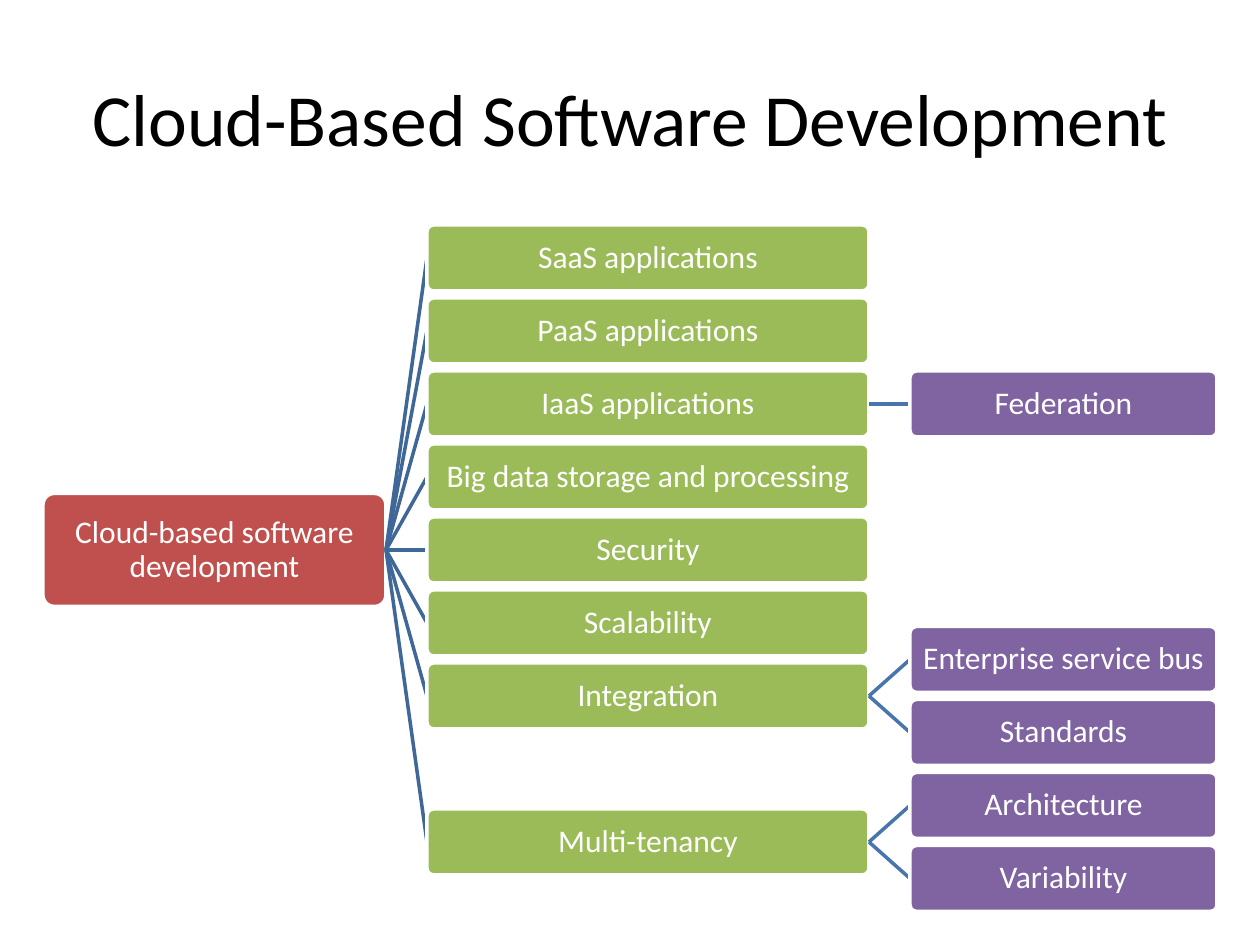
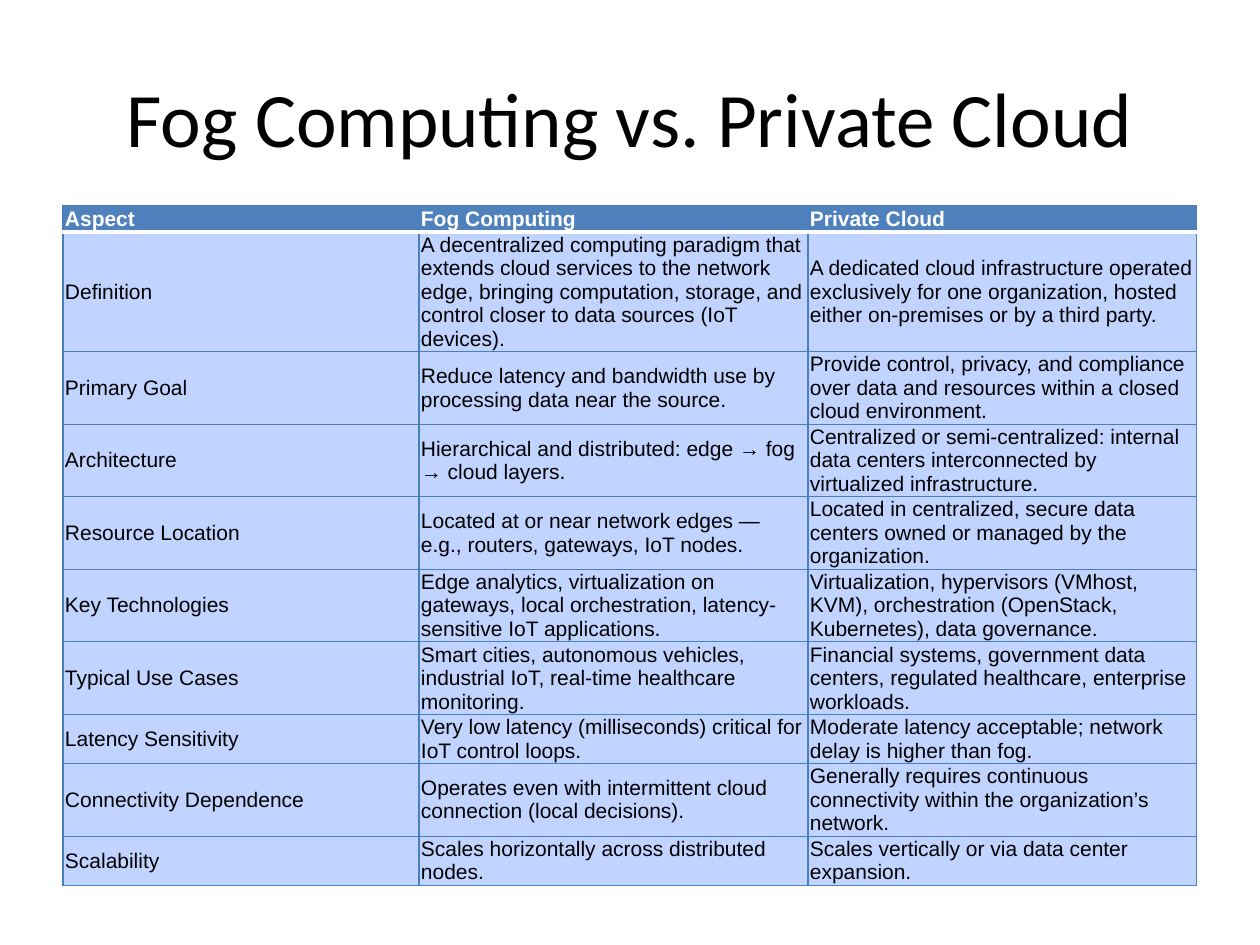
from dataclasses import dataclass

from lxml.etree import SubElement
from pptx import Presentation
from pptx.dml.color import RGBColor
from pptx.enum.shapes import MSO_CONNECTOR as Connector, MSO_SHAPE as Shape
from pptx.enum.text import MSO_ANCHOR as Anchor, MSO_AUTO_SIZE as AutoSize, PP_ALIGN as Align
from pptx.oxml.ns import qn
from pptx.util import Emu, Pt


# Theme shared by both slides
@dataclass(frozen=True)
class Theme:
    heading_font: str = "Calibri"
    table_font: str = "Arial"
    black: str = "000000"
    white: str = "FFFFFF"
    root: str = "C0504D"
    branch: str = "9BBB59"
    leaf: str = "8064A2"
    root_line: str = "3F6797"
    branch_line: str = "4875AC"
    header_fill: str = "4F81BD"
    body_fill: str = "C0D4FF"
    grid: str = "4B7EBC"
    node_size: int = 18
    table_size: int = 12
    line_width: int = 2
    grid_width: float = 0.75


THEME = Theme()
PX_PER_INCH = 126
TITLE_ONLY = 5
TOP, LEFT, BOTTOM, RIGHT = range(4)

# Mind map: left and width of each level, and the vertical rhythm
ROOT_COLUMN, BRANCH_COLUMN, LEAF_COLUMN = (43, 343), (427, 442), (910, 307)
ROOT_HEIGHT, NODE_HEIGHT, PITCH = 113, 66, 73
MAP_CENTER = 550

# Branch name, rows below the root, leaves centred on the branch
BRANCHES = [
    ("SaaS applications", -4, []),
    ("PaaS applications", -3, []),
    ("IaaS applications", -2, ["Federation"]),
    ("Big data storage and processing", -1, []),
    ("Security", 0, []),
    ("Scalability", 1, []),
    ("Integration", 2, ["Enterprise service bus", "Standards"]),
    ("Multi-tenancy", 4, ["Architecture", "Variability"]),
]

# Comparison table: text lines per row set the row heights
COLUMN_WIDTHS = [356, 389, 389]
ROW_LINES = [1, 5, 3, 3, 3, 3, 3, 2, 3, 2]
COMPARISON = [
    ("Aspect", "Fog Computing", "Private Cloud"),
    ("Definition",
     "A decentralized computing paradigm that extends cloud services to the network edge, "
     "bringing computation, storage, and control closer to data sources (IoT devices).",
     "A dedicated cloud infrastructure operated exclusively for one organization, "
     "hosted either on-premises or by a third party."),
    ("Primary Goal",
     "Reduce latency and bandwidth use by processing data near the source.",
     "Provide control, privacy, and compliance over data and resources within a closed "
     "cloud environment."),
    ("Architecture",
     "Hierarchical and distributed: edge → fog → cloud layers.",
     "Centralized or semi-centralized: internal data centers interconnected by "
     "virtualized infrastructure."),
    ("Resource Location",
     "Located at or near network edges — e.g., routers, gateways, IoT nodes.",
     "Located in centralized, secure data centers owned or managed by the organization."),
    ("Key Technologies",
     "Edge analytics, virtualization on gateways, local orchestration, "
     "latency-sensitive IoT applications.",
     "Virtualization, hypervisors (VMhost, KVM), orchestration (OpenStack, Kubernetes), "
     "data governance."),
    ("Typical Use Cases",
     "Smart cities, autonomous vehicles, industrial IoT, real-time healthcare monitoring.",
     "Financial systems, government data centers, regulated healthcare, enterprise workloads."),
    ("Latency Sensitivity",
     "Very low latency (milliseconds) critical for IoT control loops.",
     "Moderate latency acceptable; network delay is higher than fog."),
    ("Connectivity Dependence",
     "Operates even with intermittent cloud connection (local decisions).",
     "Generally requires continuous connectivity within the organization’s network."),
    ("Scalability",
     "Scales horizontally across distributed nodes.",
     "Scales vertically or via data center expansion."),
]


# Helpers
def px(length):
    return Emu(round(length * 914400 / PX_PER_INCH))


def color(value):
    return RGBColor.from_string(value)


def set_font(paragraph, name, size, value, bold=False):
    font = paragraph.font
    font.name, font.size, font.bold = name, Pt(size), bold
    font.color.rgb = color(value)


def set_margins(target, horizontal, vertical):
    target.margin_left = target.margin_right = px(horizontal)
    target.margin_top = target.margin_bottom = px(vertical)


def add_titled_slide(presentation, text, size):
    slide = presentation.slides.add_slide(presentation.slide_layouts[TITLE_ONLY])
    title = slide.shapes.title
    title.left, title.top, title.width, title.height = px(63), px(38), px(1134), px(158)
    frame = title.text_frame
    frame.text = text
    frame.auto_size = AutoSize.NONE
    frame.vertical_anchor = Anchor.MIDDLE
    paragraph = frame.paragraphs[0]
    paragraph.alignment = Align.CENTER
    set_font(paragraph, THEME.heading_font, size, THEME.black)
    return slide


# Mind map
def add_node(slide, text, column, center, fill, height=NODE_HEIGHT):
    left, width = column
    node = slide.shapes.add_shape(Shape.ROUNDED_RECTANGLE, px(left), px(center - height / 2),
                                  px(width), px(height))
    node.adjustments[0] = 0.1
    node.shadow.inherit = False
    node.fill.solid()
    node.fill.fore_color.rgb = color(fill)
    node.line.color.rgb = color(THEME.white)
    node.line.width = Pt(THEME.line_width)
    frame = node.text_frame
    frame.word_wrap = True
    frame.vertical_anchor = Anchor.MIDDLE
    set_margins(frame, 1, 1)
    frame.text = text
    paragraph = frame.paragraphs[0]
    paragraph.alignment = Align.CENTER
    paragraph.line_spacing = 0.9
    set_font(paragraph, THEME.heading_font, THEME.node_size, THEME.white)
    return node


def add_child(slide, parent, line_color, text, column, center, fill):
    # The line comes first so that the child's white outline covers its end
    line = slide.shapes.add_connector(Connector.STRAIGHT, 0, 0, 0, 0)
    line.line.color.rgb = color(line_color)
    line.line.width = Pt(THEME.line_width)
    SubElement(line._element.spPr, qn("a:effectLst"))
    child = add_node(slide, text, column, center, fill)
    line.begin_connect(parent, RIGHT)
    line.end_connect(child, LEFT)
    return child


def add_mind_map(slide):
    root = add_node(slide, "Cloud-based software development", ROOT_COLUMN, MAP_CENTER,
                    THEME.root, ROOT_HEIGHT)
    for name, row, leaves in BRANCHES:
        center = MAP_CENTER + PITCH * row
        branch = add_child(slide, root, THEME.root_line, name, BRANCH_COLUMN, center,
                           THEME.branch)
        first_leaf = center - PITCH * (len(leaves) - 1) / 2
        for index, leaf in enumerate(leaves):
            add_child(slide, branch, THEME.branch_line, leaf, LEAF_COLUMN,
                      first_leaf + PITCH * index, THEME.leaf)


# Comparison table
def set_border(cell, side, value, width):
    line = SubElement(cell._tc.get_or_add_tcPr(), qn(f"a:ln{side}"), w=str(Pt(width)))
    fill = SubElement(line, qn("a:solidFill"))
    SubElement(fill, qn("a:srgbClr"), val=value)


def format_cell(cell, text, row):
    is_header = row == 0
    header_rule = {(0, "B"), (1, "T")}
    for side in "LRTB":
        if (row, side) in header_rule:
            set_border(cell, side, THEME.white, THEME.line_width)
        else:
            set_border(cell, side, THEME.grid, THEME.grid_width)
    cell.fill.solid()
    cell.fill.fore_color.rgb = color(THEME.header_fill if is_header else THEME.body_fill)
    cell.vertical_anchor = Anchor.MIDDLE
    set_margins(cell, 2, 1)
    cell.text = text
    set_font(cell.text_frame.paragraphs[0], THEME.table_font, THEME.table_size,
             THEME.white if is_header else THEME.black, is_header)


def add_comparison(slide):
    heights = [23 * lines + 3 for lines in ROW_LINES]
    table = slide.shapes.add_table(len(COMPARISON), len(COLUMN_WIDTHS), px(63), px(206),
                                   px(sum(COLUMN_WIDTHS)), px(sum(heights))).table
    table.horz_banding = False
    for column, width in zip(table.columns, COLUMN_WIDTHS):
        column.width = px(width)
    for row, (texts, height) in enumerate(zip(COMPARISON, heights)):
        table.rows[row].height = px(height)
        for column, text in enumerate(texts):
            format_cell(table.cell(row, column), text, row)


def main():
    presentation = Presentation()
    presentation.slide_width, presentation.slide_height = px(1260), px(945)
    add_mind_map(add_titled_slide(presentation, "Cloud-Based Software Development", 42))
    add_comparison(add_titled_slide(presentation, "Fog Computing vs. Private Cloud", 44))
    presentation.save("out.pptx")


if __name__ == "__main__":
    main()
